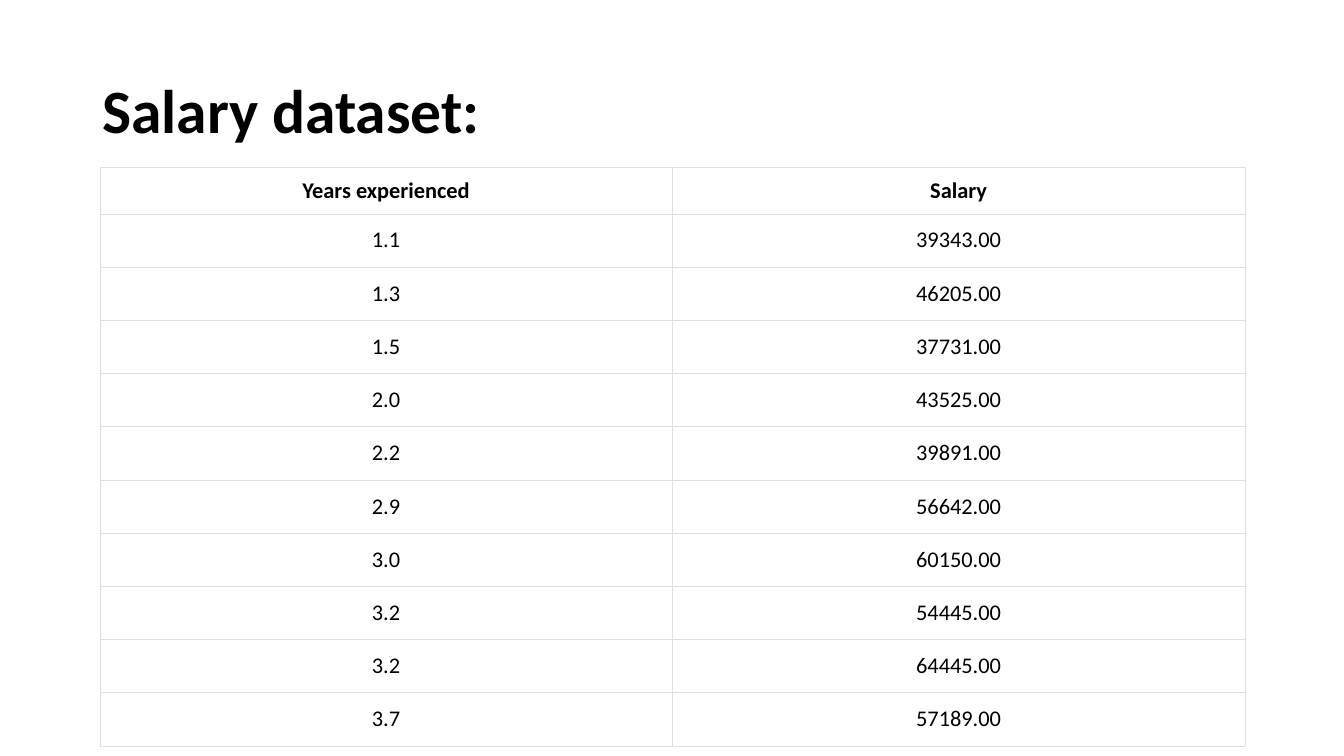
from dataclasses import dataclass

from lxml import etree
from pptx import Presentation
from pptx.dml.color import RGBColor
from pptx.enum.text import MSO_ANCHOR, PP_ALIGN
from pptx.oxml.ns import qn
from pptx.slide import Slide
from pptx.table import _Cell
from pptx.text.text import _Paragraph
from pptx.util import Pt

MIDDLE = MSO_ANCHOR.MIDDLE
CENTER = PP_ALIGN.CENTER


@dataclass(frozen=True)
class Theme:
    font: str = "Calibri"
    ink: str = "000000"
    paper: str = "FFFFFF"
    rule: str = "DFDFDF"
    title: float = 44
    body: float = 16
    line: float = 0.18


@dataclass(frozen=True)
class Row:
    years: str
    salary: str
    height: float = 38.02
    pad: float = 8.64
    side: float = 5.76
    bold: bool = False


THEME = Theme()
HEAD = Row("Years experienced", "Salary", 33.1, 5.76, bold=True)
DATA = [
    Row("1.1", "39343.00"),
    Row("1.3", "46205.00"),
    Row("1.5", "37731.00"),
    Row("2.0", "43525.00"),
    Row("2.2", "39891.00"),
    Row("2.9", "56642.00"),
    Row("3.0", "60150.00"),
    Row("3.2", "54445.00"),
    Row("3.2", "64445.00"),
    Row("3.7", "57189.00"),
]


def style(para: _Paragraph, size: float, bold: bool) -> None:
    for run in para.runs:
        font = run.font
        font.name = THEME.font
        font.size = Pt(size)
        font.bold = bold
        font.color.rgb = RGBColor.from_string(THEME.ink)


def add_title(slide: Slide, text: str) -> None:
    box = slide.shapes.add_textbox(Pt(66), Pt(28.8), Pt(900), Pt(104.4))
    frame = box.text_frame
    frame.word_wrap = True
    frame.vertical_anchor = MIDDLE
    frame.text = text
    para = frame.paragraphs[0]
    para.line_spacing = 0.9
    style(para, THEME.title, True)


def add_rules(cell: _Cell) -> None:
    """Draw all four borders; call before filling, as the schema puts lines first."""
    props = cell._tc.get_or_add_tcPr()
    for side in ("lnL", "lnR", "lnT", "lnB"):
        line = etree.SubElement(props, qn(f"a:{side}"), w=str(Pt(THEME.line)))
        fill = etree.SubElement(line, qn("a:solidFill"))
        etree.SubElement(fill, qn("a:srgbClr"), val=THEME.rule)


def fill_cell(cell: _Cell, text: str, row: Row, side: float) -> None:
    add_rules(cell)
    cell.fill.solid()
    cell.fill.fore_color.rgb = RGBColor.from_string(THEME.paper)
    cell.vertical_anchor = MIDDLE
    cell.margin_left = cell.margin_right = Pt(side)
    cell.margin_top = cell.margin_bottom = Pt(row.pad)
    cell.text_frame.text = text
    para = cell.text_frame.paragraphs[0]
    para.alignment = CENTER
    style(para, THEME.body, row.bold)


def add_grid(slide: Slide, rows: list[Row]) -> None:
    width = 817.92
    height = sum(row.height for row in rows)
    frame = slide.shapes.add_table(
        len(rows), 2, Pt(71.28), Pt(119.52), Pt(width), Pt(height)
    )
    table = frame.table
    table.horz_banding = False
    for col in table.columns:
        col.width = Pt(width / 2)
    for i, row in enumerate(rows):
        table.rows[i].height = Pt(row.height)
        left = row.side / 2 if row.bold else row.side
        fill_cell(table.cell(i, 0), row.years, row, left)
        fill_cell(table.cell(i, 1), row.salary, row, row.side)


def main() -> None:
    deck = Presentation()
    deck.slide_width, deck.slide_height = Pt(960), Pt(540)
    slide = deck.slides.add_slide(deck.slide_layouts[6])
    add_title(slide, "Salary dataset:")
    add_grid(slide, [HEAD, *DATA])
    deck.save("out.pptx")


if __name__ == "__main__":
    main()
